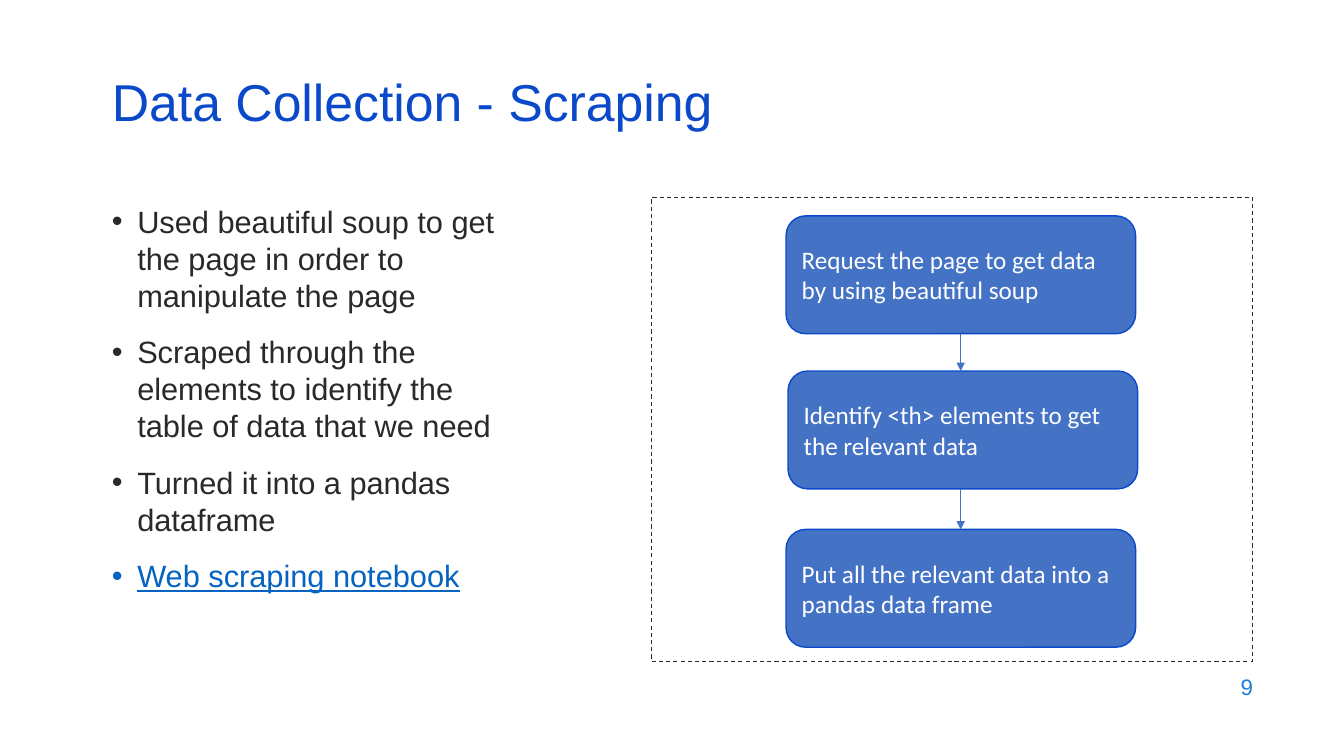
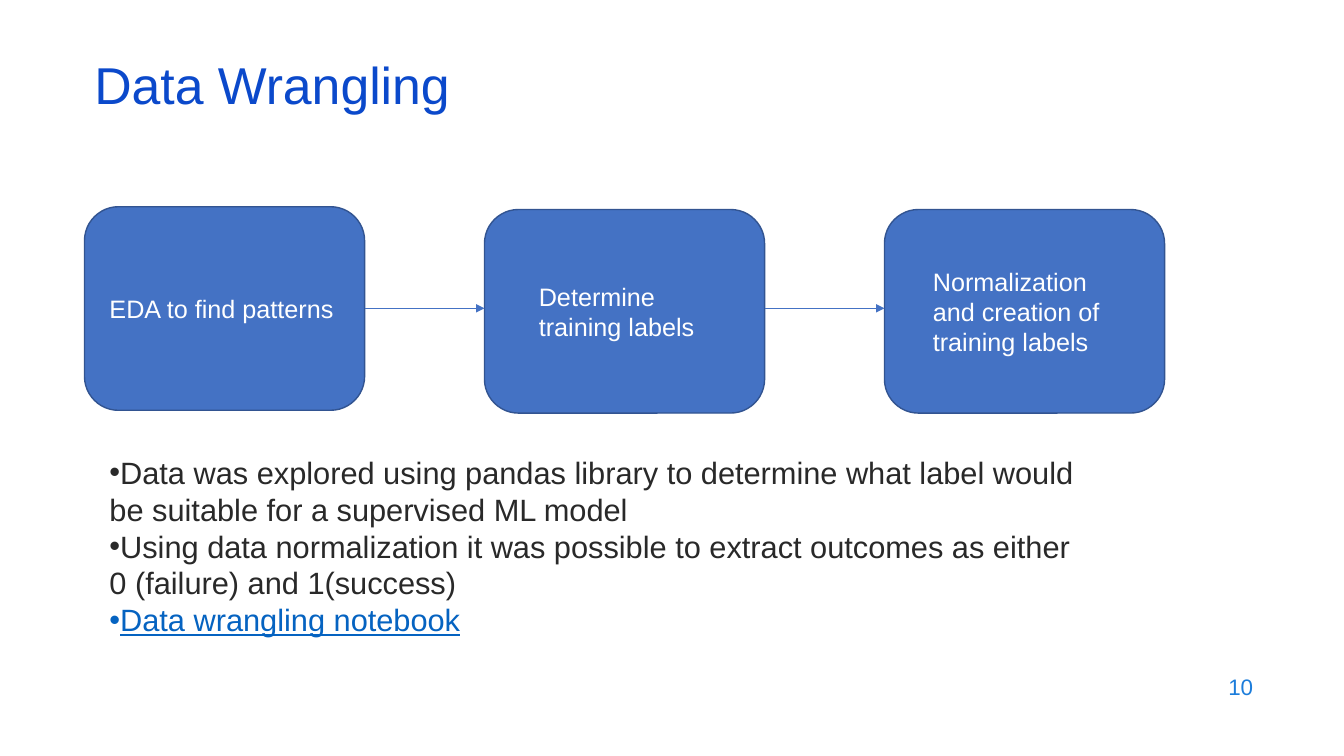
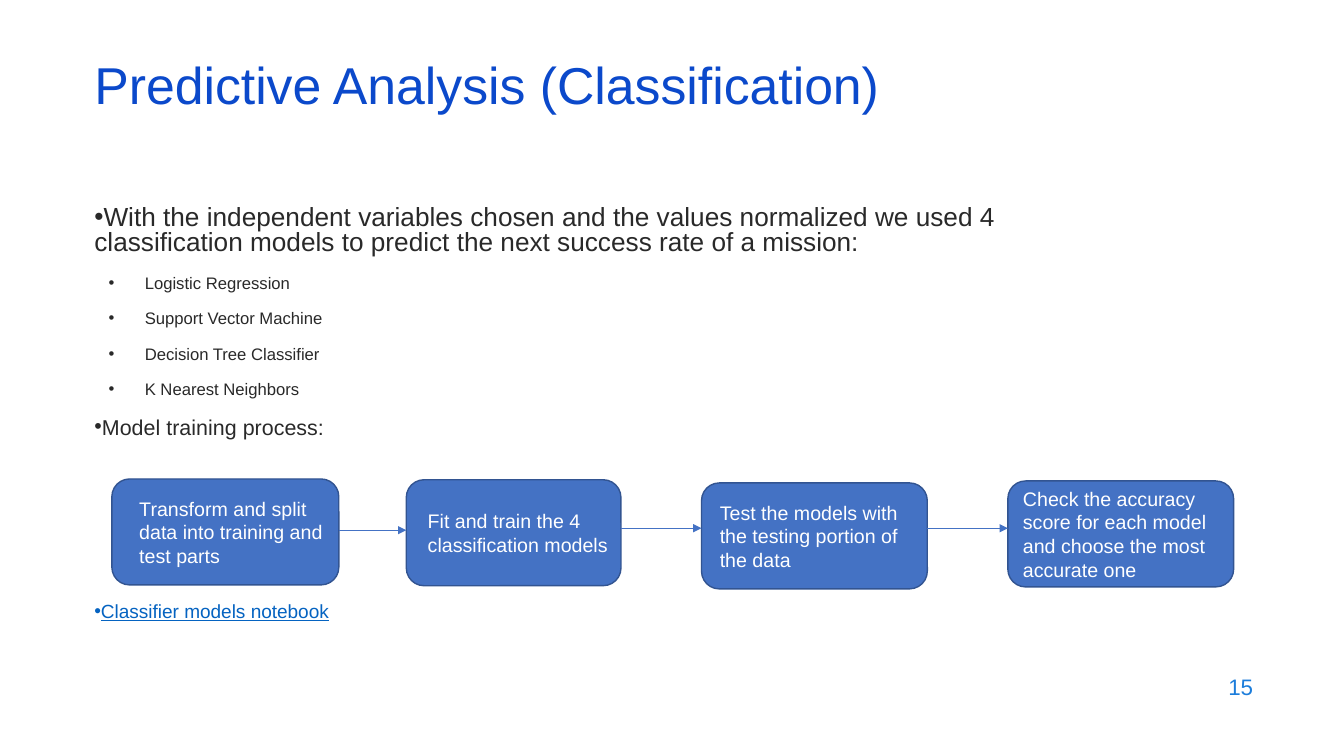
import dataclasses

import lxml.etree
import pptx
import pptx.dml.color
import pptx.enum.dml
import pptx.enum.shapes
import pptx.enum.text
import pptx.oxml.ns
import pptx.util

Cm = pptx.util.Cm
Pt = pptx.util.Pt
qn = pptx.oxml.ns.qn


@dataclasses.dataclass(frozen=True)
class Theme:
    title_color: str = "0B49CB"
    text_color: str = "292929"
    link_color: str = "0563C1"
    page_color: str = "1C7DDB"
    node_fill: str = "4472C4"
    node_line: str = "325491"
    white: str = "FFFFFF"
    font: str = "Arial"
    node_font: str = "Calibri"
    title_size: float = 37
    body_size: float = 22
    lead_size: float = 18.7
    process_size: float = 15.3
    note_size: float = 13.6
    item_size: float = 11.9
    page_size: float = 16
    step_size: float = 18
    small_step_size: float = 14
    leading: float = 1.2
    tight: float = 0.96


THEME = Theme()


@dataclasses.dataclass(frozen=True)
class Bullet:
    text: str
    size: float = THEME.body_size
    link: bool = False
    margin: float = 0
    hang: float = 0
    before: float = 0
    leading: float = THEME.leading


@dataclasses.dataclass(frozen=True)
class Node:
    text: str
    left: float
    top: float
    width: float
    height: float
    pad_left: float = 0.25
    pad_right: float = 0.25


def rgb(value):
    return pptx.dml.color.RGBColor.from_string(value)


def format_paragraph(p, size, color, font=THEME.font, leading=THEME.leading, underline=False):
    p.line_spacing = Pt(round(size * leading, 1))
    for r in p.runs:
        r.font.size = Pt(size)
        r.font.name = font
        r.font.color.rgb = rgb(color)
        if underline:
            r.font.underline = True


def add_text_frame(s, left, top, width, height):
    tf = s.shapes.add_textbox(Cm(left), Cm(top), Cm(width), Cm(height)).text_frame
    tf.word_wrap = True
    return tf


def add_line_of_text(s, text, box, size, color, leading=THEME.leading, align=None):
    tf = add_text_frame(s, *box)
    tf.text = text
    tf.vertical_anchor = pptx.enum.text.MSO_ANCHOR.MIDDLE
    p = tf.paragraphs[0]
    p.alignment = align
    format_paragraph(p, size, color, leading=leading)


def add_bullets(s, bullets, left, top, width, height):
    tf = add_text_frame(s, left, top, width, height)
    for i, bullet in enumerate(bullets):
        p = tf.add_paragraph() if i else tf.paragraphs[0]
        p.text = bullet.text
        props = p._p.get_or_add_pPr()
        props.set("marL", str(Cm(bullet.margin)))
        props.set("indent", str(Cm(-bullet.hang)))
        lxml.etree.SubElement(props, qn("a:buFont"), typeface=THEME.font)
        lxml.etree.SubElement(props, qn("a:buChar"), char="•")
        if i and bullet.before:
            p.space_before = Pt(bullet.before)
        color = THEME.link_color if bullet.link else THEME.text_color
        format_paragraph(p, bullet.size, color, leading=bullet.leading, underline=bullet.link)


def add_node(s, node, size, font=THEME.font, line=THEME.node_line):
    shape = s.shapes.add_shape(
        pptx.enum.shapes.MSO_SHAPE.ROUNDED_RECTANGLE,
        Cm(node.left), Cm(node.top), Cm(node.width), Cm(node.height))
    shape.shadow.inherit = False
    shape.fill.solid()
    shape.fill.fore_color.rgb = rgb(THEME.node_fill)
    shape.line.color.rgb = rgb(line)
    shape.line.width = Pt(1)
    tf = shape.text_frame
    tf.word_wrap = True
    tf.vertical_anchor = pptx.enum.text.MSO_ANCHOR.MIDDLE
    tf.margin_left, tf.margin_right = Cm(node.pad_left), Cm(node.pad_right)
    tf.margin_top = tf.margin_bottom = 0
    tf.text = node.text
    p = tf.paragraphs[0]
    p.alignment = pptx.enum.text.PP_ALIGN.LEFT
    format_paragraph(p, size, THEME.white, font)


def add_arrow(s, x1, y1, x2, y2):
    arrow = s.shapes.add_connector(
        pptx.enum.shapes.MSO_CONNECTOR.STRAIGHT, Cm(x1), Cm(y1), Cm(x2), Cm(y2))
    arrow.line.color.rgb = rgb(THEME.node_fill)
    arrow.line.width = Pt(0.5)
    lxml.etree.SubElement(arrow.line._get_or_add_ln(), qn("a:tailEnd"), type="triangle")
    lxml.etree.SubElement(arrow._element.spPr, qn("a:effectLst"))


def add_row_flow(s, nodes, arrow_tops, size):
    for node in nodes:
        add_node(s, node, size)
    for start, end, y in zip(nodes, nodes[1:], arrow_tops):
        add_arrow(s, start.left + start.width, y, end.left, y)


def add_column_flow(s, nodes, x, size):
    for node in nodes:
        add_node(s, node, size, THEME.node_font, THEME.title_color)
    for start, end in zip(nodes, nodes[1:]):
        add_arrow(s, x, start.top + start.height, x, end.top)


def add_dashed_frame(s, left, top, width, height):
    frame = s.shapes.add_shape(
        pptx.enum.shapes.MSO_SHAPE.RECTANGLE, Cm(left), Cm(top), Cm(width), Cm(height))
    frame.shadow.inherit = False
    frame.fill.background()
    frame.line.color.rgb = rgb(THEME.text_color)
    frame.line.width = Pt(0.75)
    frame.line.dash_style = pptx.enum.dml.MSO_LINE.DASH


def add_slide(prs, title, page, left=2.13, top=1.5):
    s = prs.slides.add_slide(prs.slide_layouts[6])
    add_line_of_text(s, title, (left, top, 29.21, 1.52), THEME.title_size,
                     THEME.title_color, THEME.tight)
    add_line_of_text(s, page, (24.21, 16.74, 7.62, 1.12), THEME.page_size,
                     THEME.page_color, align=pptx.enum.text.PP_ALIGN.RIGHT)
    return s


def build_scraping(prs):
    s = add_slide(prs, "Data Collection - Scraping", "9", 2.57, 1.93)
    points = [
        "Used beautiful soup to get the page in order to manipulate the page",
        "Scraped through the elements to identify the table of data that we need",
        "Turned it into a pandas dataframe",
        "Web scraping notebook",
    ]
    bullets = [Bullet(text, link=text == points[-1], margin=0.64, hang=0.64, before=14)
               for text in points]
    add_bullets(s, bullets, 2.57, 4.98, 10.92, 10.59)
    add_dashed_frame(s, 16.41, 4.98, 15.16, 11.68)
    steps = [
        ("Request the page to get data by using beautiful soup", 19.81, 5.44),
        ("Identify <th> elements to get the relevant data", 19.86, 9.35),
        ("Put all the relevant data into a pandas data frame", 19.81, 13.34),
    ]
    nodes = [Node(text, left, top, 8.81, 2.97) for text, left, top in steps]
    add_column_flow(s, nodes, 24.21, THEME.step_size)


def build_wrangling(prs):
    s = add_slide(prs, "Data Wrangling", "10")
    steps = [
        ("EDA to find patterns", 5.21, 0.38, 0),
        ("Determine training labels", 5.28, 1.12, 0.38),
        ("Normalization and creation of training labels", 5.28, 0.97, 0.53),
    ]
    nodes = [Node(text, 2.13 + 10.08 * i, top, 7.06, 5.13, pad_left, pad_right)
             for i, (text, top, pad_left, pad_right) in enumerate(steps)]
    add_row_flow(s, nodes, (7.77, 7.77), THEME.step_size)
    add_bullets(s, [
        Bullet("Data was explored using pandas library to determine what label would "
               "be suitable for a supervised ML model"),
        Bullet("Using data normalization it was possible to extract outcomes as either "
               "0 (failure) and 1(success)"),
        Bullet("Data wrangling notebook", link=True),
    ], 2.51, 11.3, 24.94, 5.3)


def build_classification(prs):
    s = add_slide(prs, "Predictive Analysis (Classification)", "15")
    models = ["Logistic Regression", "Support Vector Machine",
              "Decision Tree Classifier", "K Nearest Neighbors"]
    bullets = [
        Bullet("With the independent variables chosen and the values normalized we used 4 "
               "classification models to predict the next success rate of a mission:",
               THEME.lead_size, leading=THEME.tight),
        *(Bullet(model, THEME.item_size, margin=1.27, hang=0.91, before=14,
                 leading=THEME.tight) for model in models),
        Bullet("Model training process:", THEME.process_size, before=14, leading=THEME.tight),
    ]
    add_bullets(s, bullets, 2.13, 5.08, 25.9, 6.4)
    steps = [
        ("Transform and split data into training and test parts", 2.82, 12.07, 5.72, 0.56, 0),
        ("Fit and train the 4 classification models", 10.24, 12.09, 5.41, 0.41, 0),
        ("Test the models with the testing portion of the data", 17.68, 12.17, 5.69, 0.33, 0.18),
        ("Check the accuracy score for each model and choose the most accurate one",
         25.4, 12.12, 5.69, 0.25, 0.25),
    ]
    nodes = [Node(text, left, top, width, 2.67, pad_left, pad_right)
             for text, left, top, width, pad_left, pad_right in steps]
    add_row_flow(s, nodes, (13.36, 13.31, 13.31), THEME.small_step_size)
    add_bullets(s, [Bullet("Classifier models notebook", THEME.note_size, link=True,
                           leading=THEME.tight)], 2.13, 15.1, 8, 1)


def main():
    prs = pptx.Presentation()
    prs.slide_width, prs.slide_height = Cm(33.87), Cm(19.05)
    build_scraping(prs)
    build_wrangling(prs)
    build_classification(prs)
    prs.save("out.pptx")


if __name__ == "__main__":
    main()
